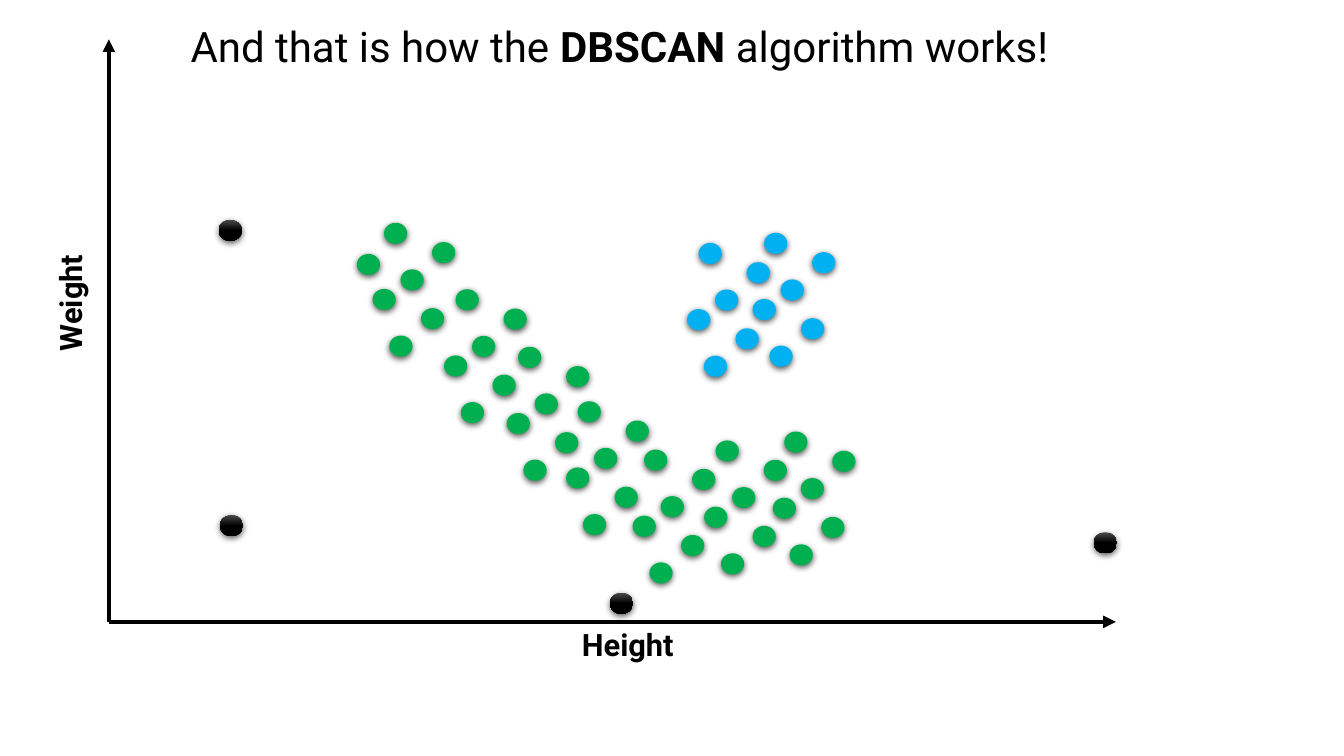
"""Build a slide that shows the clusters and outliers found by DBSCAN."""
from lxml.etree import SubElement
from pptx import Presentation
from pptx.dml.color import RGBColor
from pptx.enum.shapes import MSO_CONNECTOR as CONNECTOR, MSO_SHAPE as SHAPE
from pptx.enum.text import MSO_ANCHOR as ANCHOR, MSO_AUTO_SIZE as AUTO_SIZE, PP_ALIGN as ALIGN
from pptx.oxml.ns import qn
from pptx.util import Pt

BLACK = RGBColor(0x00, 0x00, 0x00)
GREY = RGBColor(0x4B, 0x4B, 0x4B)
GREEN = RGBColor(0x00, 0xB0, 0x50)
BLUE = RGBColor(0x00, 0xB0, 0xF0)
FONT = "Roboto"

DOT_WIDTH, DOT_HEIGHT = 16.6, 15.1
PATCH = [(0, 0), (11.8, 33.3), (34.3, 13.8), (-8.2, 47.3), (3.8, 80.6), (26.4, 61)]
GREEN_PATCHES = [(274.3, 159.1), (325.4, 206.6), (370.1, 247.7), (412.6, 286.6),
                 (460.1, 321.1), (511.2, 314.6), (560.2, 308.2)]
GREEN_EDGE = (254.9, 181.4)
BLUE_PATCHES = [(499, 173.5), (545.8, 166.3)]
OUTLIERS = [(156.2, 157), (157, 367.9), (781.2, 380.2), (435.6, 423.4)]
ORIGIN = (77.8, 444.2)


def place(part, left, top, width, height):
    """Set the frame of a part in points."""
    part.left, part.top = Pt(left), Pt(top)
    part.width, part.height = Pt(width), Pt(height)


def format_run(run, size, bold):
    """Give a run the slide's font in black."""
    run.font.name, run.font.size, run.font.bold = FONT, Pt(size), bold
    run.font.color.rgb = BLACK


def add_title(slide):
    """Write the heading with the algorithm's name in bold."""
    title = slide.shapes.title
    place(title, 128.9, 10.8, 668.2, 43.9)
    frame = title.text_frame
    frame.word_wrap, frame.auto_size = True, AUTO_SIZE.NONE
    frame.vertical_anchor = ANCHOR.TOP
    heading = frame.paragraphs[0]
    heading.alignment = ALIGN.LEFT
    for words, bold in (("And that is how the ", False), ("DBSCAN ", True),
                        ("algorithm works!", False)):
        run = heading.add_run()
        run.text = words
        format_run(run, 30, bold)


def add_axis(slide, tip):
    """Draw an arrow from the origin to the tip."""
    axis = slide.shapes.add_connector(CONNECTOR.STRAIGHT, *map(Pt, ORIGIN + tip))
    axis.line.color.rgb = BLACK
    axis.line.width = Pt(3)
    properties = axis._element.spPr
    SubElement(properties.find(qn("a:ln")), qn("a:tailEnd"), type="triangle")
    SubElement(properties, qn("a:effectLst"))


def add_axis_label(slide, name, left, top, rotation=0):
    """Name an axis in bold."""
    label = slide.shapes.add_textbox(Pt(left), Pt(top), Pt(85), Pt(33.8))
    label.rotation = rotation
    label.text_frame.word_wrap = True
    label.text_frame.text = name
    paragraph = label.text_frame.paragraphs[0]
    paragraph.alignment = ALIGN.CENTER
    format_run(paragraph.runs[0], 22, True)


def add_dot(slide, left, top, colour=None):
    """Draw a data point with a soft shadow, shaded black when it has no colour."""
    dot = slide.shapes.add_shape(SHAPE.OVAL, Pt(left), Pt(top), Pt(DOT_WIDTH), Pt(DOT_HEIGHT))
    if colour:
        dot.fill.solid()
        dot.fill.fore_color.rgb = colour
    else:
        dot.fill.gradient()
        dot.fill.gradient_angle = 270
        for stop, shade, position in zip(dot.fill.gradient_stops, (GREY, BLACK), (0, 0.5)):
            stop.color.rgb, stop.position = shade, position
    dot.line.fill.background()
    dot.shadow.inherit = False
    effects = dot._element.spPr.find(qn("a:effectLst"))
    shadow = SubElement(effects, qn("a:outerShdw"), blurRad=str(Pt(4.5)), dist=str(Pt(1.5)),
                        dir="5400000", algn="ctr", rotWithShape="0")
    tint = SubElement(shadow, qn("a:srgbClr"), val=str(BLACK))
    SubElement(tint, qn("a:alpha"), val="63000")


def add_cluster(slide, patches, colour):
    """Repeat the patch of six points at each corner."""
    for left, top in patches:
        for right, down in PATCH:
            add_dot(slide, left + right, top + down, colour)


def main():
    """Build and save the slide."""
    deck = Presentation()
    deck.slide_width, deck.slide_height = Pt(960), Pt(540)
    slide = deck.slides.add_slide(deck.slide_layouts[5])
    add_title(slide)
    add_axis(slide, (797, ORIGIN[1]))
    add_axis(slide, (ORIGIN[0], 28.1))
    add_cluster(slide, GREEN_PATCHES, GREEN)
    add_dot(slide, *GREEN_EDGE, GREEN)
    add_cluster(slide, BLUE_PATCHES, BLUE)
    for left, top in OUTLIERS:
        add_dot(slide, left, top)
    add_axis_label(slide, "Height", 405.9, 443.5)
    add_axis_label(slide, "Weight", 7.5, 199.4, 270)
    deck.save("out.pptx")


if __name__ == "__main__":
    main()
